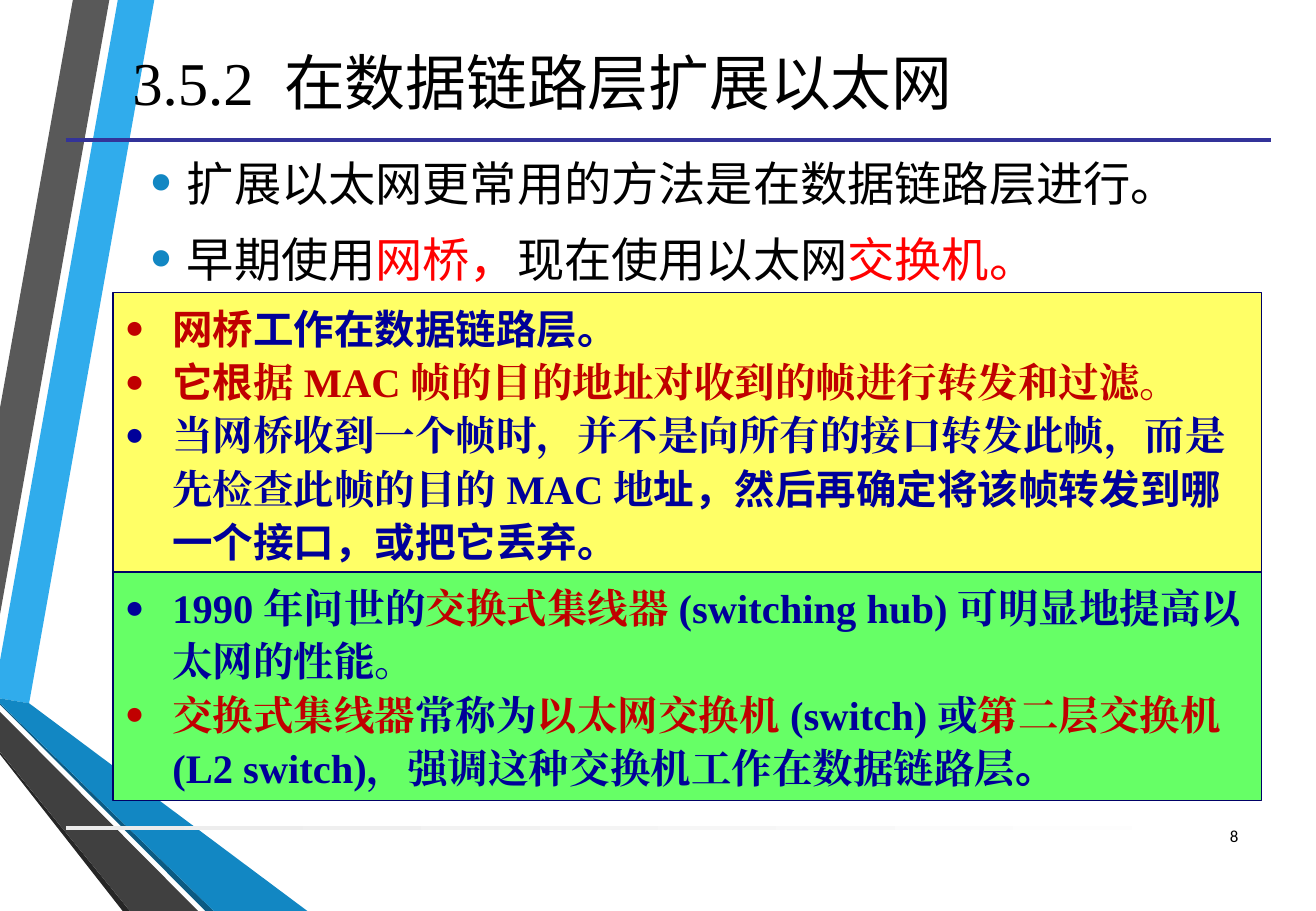
from lxml import etree
from pptx import Presentation
from pptx.dml.color import RGBColor
from pptx.enum.shapes import MSO_CONNECTOR, MSO_SHAPE
from pptx.enum.text import MSO_ANCHOR, PP_ALIGN
from pptx.oxml.ns import qn
from pptx.util import Inches, Pt

RECT, STRAIGHT = MSO_SHAPE.RECTANGLE, MSO_CONNECTOR.STRAIGHT
TOP, MIDDLE = MSO_ANCHOR.TOP, MSO_ANCHOR.MIDDLE
LEFT, CENTER, RIGHT = PP_ALIGN.LEFT, PP_ALIGN.CENTER, PP_ALIGN.RIGHT

BLACK = RGBColor(0x00, 0x00, 0x00)
WHITE = RGBColor(0xFF, 0xFF, 0xFF)
RED = RGBColor(0xFF, 0x00, 0x00)
DARK_RED = RGBColor(0xC0, 0x00, 0x00)
NAVY = RGBColor(0x00, 0x00, 0x99)
BORDER = RGBColor(0x00, 0x00, 0x66)
YELLOW = RGBColor(0xFF, 0xFF, 0x66)
GREEN = RGBColor(0x66, 0xFF, 0x66)
RULE = RGBColor(0x33, 0x33, 0x99)
PALE_GRAY = RGBColor(0xEB, 0xEB, 0xEB)
BLUE = RGBColor(0x12, 0x87, 0xC3)
SKY = RGBColor(0x30, 0xAC, 0xEC)
DEEP_BLUE = RGBColor(0x0C, 0x5A, 0x82)
GRAY = RGBColor(0x59, 0x59, 0x59)
DARK_GRAY = RGBColor(0x40, 0x40, 0x40)
CHARCOAL = RGBColor(0x26, 0x26, 0x26)

SANS, SERIF = "Calibri", "Times New Roman"

RIBBONS = [
    (SKY, [(0, 5.44), (0, 5.75), (0.24, 5.79), (1.27, 0), (0.97, 0)]),
    (GRAY, [(0.9, 0), (0.6, 0), (0, 3.36), (0, 5.06)]),
    (CHARCOAL, [(0, 6.19), (0, 6.21), (1.01, 7.5), (1.07, 7.5)]),
    (DEEP_BLUE, [(0, 5.79), (0, 5.8), (1.69, 7.5), (1.76, 7.5)]),
    (BLUE, [(0, 5.79), (1.76, 7.5), (2.53, 7.5), (0.24, 5.79), (0, 5.75)]),
    (DARK_GRAY, [(0, 6.19), (1.07, 7.5), (1.63, 7.5), (0, 5.86)]),
]

# Each paragraph is a list of (text, colour, font) runs.
INTRO = [
    [("扩展以太网更常用的方法是在数据链路层进行。", BLACK, SANS)],
    [("早期使用", BLACK, SANS), ("网桥，", RED, SANS),
     ("现在使用以太网", BLACK, SANS), ("交换机。", RED, SANS)],
]
BRIDGE = [
    [("网桥", DARK_RED, SANS), ("工作在数据链路层。", NAVY, SANS)],
    [("它根", DARK_RED, SANS),
     ("据 MAC 帧的目的地址对收到的帧进行转发和过滤。", DARK_RED, SERIF)],
    [("当网桥收到一个帧时，并不是向所有的接口转发此帧，而是先检查此帧的目的 MAC 地", NAVY, SERIF),
     ("址，然后再确定将该帧转发到哪一个接口，或把它丢弃。", NAVY, SANS)],
]
SWITCH = [
    [("1990 年问世的", NAVY, SERIF), ("交换式集线器 ", DARK_RED, SERIF),
     ("(switching hub) 可明显地提高以太网的性能。", NAVY, SERIF)],
    [("交换式集线器", DARK_RED, SERIF), ("常称为", NAVY, SERIF),
     ("以太网交换机 ", DARK_RED, SERIF), ("(switch) 或", NAVY, SERIF),
     ("第二层交换机 ", DARK_RED, SERIF),
     ("(L2 switch)，强调这种交换机工作在数据链路层", NAVY, SERIF), ("。", NAVY, SANS)],
]


def add_bullet(p, indent, char, percent, color):
    pPr = p._p.get_or_add_pPr()
    pPr.set("marL", str(Inches(indent)))
    pPr.set("indent", str(-Inches(indent)))
    clr = etree.SubElement(pPr, qn("a:buClr"))
    etree.SubElement(clr, qn("a:srgbClr")).set("val", str(color))
    etree.SubElement(pPr, qn("a:buSzPct")).set("val", str(percent * 1000))
    etree.SubElement(pPr, qn("a:buFont")).set("typeface", SERIF)
    etree.SubElement(pPr, qn("a:buChar")).set("char", char)


def write_text(sp, paragraphs, size, bold=False, align=LEFT, anchor=MIDDLE,
               spacing=None, before=0, after=0, bullet=None, bullet_color=None):
    """Fill a shape; bullet is (indent, character, size percent)."""
    tf = sp.text_frame
    tf.word_wrap = True
    tf.vertical_anchor = anchor
    for i, runs in enumerate(paragraphs):
        p = tf.paragraphs[0] if i == 0 else tf.add_paragraph()
        p.alignment = align
        p.line_spacing = spacing
        p.space_before, p.space_after = Pt(before), Pt(after)
        if bullet:
            add_bullet(p, *bullet, bullet_color or runs[0][1])
        for text, color, font in runs:
            r = p.add_run()
            r.text = text
            r.font.name, r.font.size, r.font.bold = font, Pt(size), bold
            r.font.color.rgb = color
            ea = etree.SubElement(r._r.get_or_add_rPr(), qn("a:ea"))
            ea.set("typeface", font)


def add_text_box(s, box, paragraphs, size, **fmt):
    sp = s.shapes.add_textbox(*map(Inches, box))
    write_text(sp, paragraphs, size, **fmt)


def add_ribbons(s):
    for color, points in RIBBONS:
        start, *rest = [(Inches(x), Inches(y)) for x, y in points]
        builder = s.shapes.build_freeform(*start)
        builder.add_line_segments(rest, close=True)
        sp = builder.convert_to_shape()
        sp.shadow.inherit = False
        sp.fill.solid()
        sp.fill.fore_color.rgb = color
        sp.line.fill.background()


def add_rules(s, left, title_y, footer_y):
    bar = s.shapes.add_shape(RECT, Inches(left), Inches(footer_y), Inches(9.75), Inches(0.03))
    bar.shadow.inherit = False
    bar.line.fill.background()
    bar.fill.gradient()
    bar.fill.gradient_angle = 0
    for stop, color in zip(bar.fill.gradient_stops, (PALE_GRAY, WHITE)):
        stop.color.rgb = color
    y = Inches(title_y)
    line = s.shapes.add_connector(STRAIGHT, Inches(left), y, Inches(left + 9.92), y)
    line.line.color.rgb = RULE
    line.line.width = Pt(2.25)
    etree.SubElement(line._element.spPr, qn("a:effectLst"))


def add_panel(s, box, color, paragraphs):
    sp = s.shapes.add_shape(RECT, *map(Inches, box))
    sp.shadow.inherit = False
    sp.fill.solid()
    sp.fill.fore_color.rgb = color
    sp.line.color.rgb = BORDER
    sp.line.width = Pt(0.75)
    write_text(sp, paragraphs, 24, bold=True, anchor=TOP, spacing=1.1,
               bullet=(0.39, "●", 80))


def main():
    prs = Presentation()
    prs.slide_width, prs.slide_height = Inches(10.83), Inches(7.5)
    s = prs.slides.add_slide(prs.slide_layouts[6])
    add_ribbons(s)
    add_rules(s, 0.54, 1.15, 6.8)
    title = [[("3.5.2  ", BLACK, SERIF), ("在数据链路层扩展以太网 ", BLACK, SANS)]]
    add_text_box(s, (0.43, 0.05, 8.18, 1.24), title, 36, align=CENTER)
    add_text_box(s, (1.13, 0.99, 9.13, 1.65), INTRO, 28, before=5.6, after=6,
                 bullet=(0.31, "•", 145), bullet_color=BLUE)
    add_panel(s, (0.93, 2.41, 9.45, 2.32), YELLOW, BRIDGE)
    add_panel(s, (0.93, 4.71, 9.45, 1.88), GREEN, SWITCH)
    add_text_box(s, (9.78, 6.68, 0.51, 0.4), [[("8", BLACK, SANS)]], 10, align=RIGHT)
    prs.save("out.pptx")


if __name__ == "__main__":
    main()
